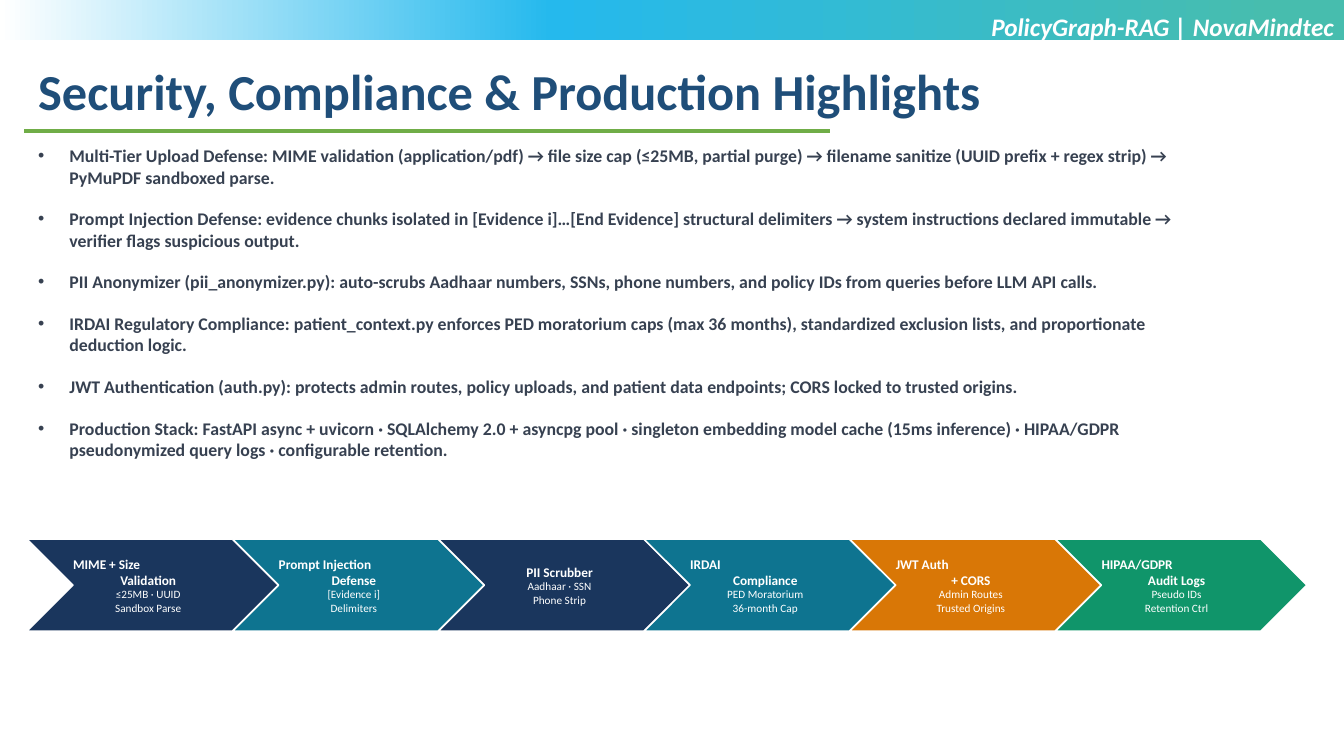
from lxml.etree import SubElement
from pptx import Presentation
from pptx.dml.color import RGBColor
from pptx.enum.shapes import MSO_CONNECTOR as Connector, MSO_SHAPE as Shape
from pptx.enum.text import MSO_ANCHOR as Anchor, PP_ALIGN as Align
from pptx.oxml.ns import qn
from pptx.util import Inches, Pt

COLORS = {
    "white": "FFFFFF",
    "sky": "25B9ED",
    "mint": "47BDAE",
    "title": "1F4E79",
    "rule": "70AD47",
    "body": "374151",
    "navy": "1A365D",
    "teal": "0E7490",
    "orange": "D97706",
    "green": "10956A",
}
BANNER_STOPS = [(0, "white"), (41, "sky"), (95, "mint")]
HIGHLIGHTS = [
    "Multi-Tier Upload Defense: MIME validation (application/pdf) → file size cap (≤25MB, partial purge) "
    "→ filename sanitize (UUID prefix + regex strip) → PyMuPDF sandboxed parse.",
    "Prompt Injection Defense: evidence chunks isolated in [Evidence i]…[End Evidence] structural delimiters "
    "→ system instructions declared immutable → verifier flags suspicious output.",
    "PII Anonymizer (pii_anonymizer.py): auto-scrubs Aadhaar numbers, SSNs, phone numbers, "
    "and policy IDs from queries before LLM API calls.",
    "IRDAI Regulatory Compliance: patient_context.py enforces PED moratorium caps (max 36 months), "
    "standardized exclusion lists, and proportionate deduction logic.",
    "JWT Authentication (auth.py): protects admin routes, policy uploads, and patient data endpoints; "
    "CORS locked to trusted origins.",
    "Production Stack: FastAPI async + uvicorn · SQLAlchemy 2.0 + asyncpg pool · singleton embedding model "
    "cache (15ms inference) · HIPAA/GDPR pseudonymized query logs · configurable retention.",
]
STAGES = [
    ("MIME + Size\nValidation", "≤25MB · UUID\nSandbox Parse", "navy"),
    ("Prompt Injection\nDefense", "[Evidence i]\nDelimiters", "teal"),
    ("PII Scrubber", "Aadhaar · SSN\nPhone Strip", "navy"),
    ("IRDAI\nCompliance", "PED Moratorium\n36-month Cap", "teal"),
    ("JWT Auth\n+ CORS", "Admin Routes\nTrusted Origins", "orange"),
    ("HIPAA/GDPR\nAudit Logs", "Pseudo IDs\nRetention Ctrl", "green"),
]


def rgb(name):
    return RGBColor.from_string(COLORS[name])


def write(paragraph, text, color, **formats):
    run = paragraph.add_run()
    run.text = text
    run.font.color.rgb = rgb(color)
    for key, value in {"name": "Calibri", "bold": True, **formats}.items():
        setattr(run.font, key, value)


def text_frame(slide, box):
    frame = slide.shapes.add_textbox(*map(Inches, box)).text_frame
    frame.word_wrap = True
    return frame


def add_banner(slide, box):
    left, top, width, height = box
    band = slide.shapes.add_shape(Shape.RECTANGLE, *map(Inches, box))
    band.shadow.inherit = False
    band.line.fill.background()
    band.fill.gradient()
    band.fill.gradient_angle = 0
    stops = band._element.spPr.find(qn("a:gradFill")).find(qn("a:gsLst"))
    stops.clear()
    for position, color in BANNER_STOPS:
        stop = SubElement(stops, qn("a:gs"), pos=str(position * 1000))
        SubElement(stop, qn("a:srgbClr"), val=COLORS[color])

    project = text_frame(slide, (left + width / 2, top + 0.06, width / 2, 0.71)).paragraphs[0]
    project.alignment = Align.RIGHT
    write(project, "PolicyGraph-RAG | NovaMindtec", "white", size=Pt(18), italic=True)


def add_heading(slide, box):
    left, top, width, height = box
    heading = text_frame(slide, box).paragraphs[0]
    write(heading, "Security, Compliance & Production Highlights", "title", size=Pt(36))
    rule_left, rule_top = left - 0.04, top + height + 0.04
    rule = slide.shapes.add_connector(
        Connector.STRAIGHT, *map(Inches, (rule_left, rule_top, rule_left + 7.99, rule_top)))
    rule.line.color.rgb = rgb("rule")
    rule.line.width = Pt(2.25)
    SubElement(rule._element.spPr, qn("a:effectLst"))


def add_highlights(slide, box):
    frame = text_frame(slide, box)
    for index, highlight in enumerate(HIGHLIGHTS):
        item = frame.add_paragraph() if index else frame.paragraphs[0]
        properties = item._p.get_or_add_pPr()
        properties.set("marL", str(Inches(0.31)))
        properties.set("indent", str(-Inches(0.31)))
        SubElement(properties, qn("a:buFont"), typeface="Arial")
        SubElement(properties, qn("a:buChar"), char="•")
        item.space_before = Pt(10 if index else 0)
        item.space_after = Pt(4.5)
        write(item, highlight, "body", size=Pt(12.7))


def add_stages(slide, box):
    left, top, width, height = box
    overlap = 0.45
    step = (width - overlap) / len(STAGES)
    for index, (name, detail, color) in enumerate(STAGES):
        stage = slide.shapes.add_shape(
            Shape.CHEVRON, *map(Inches, (left + index * step, top, step + overlap, height)))
        stage.shadow.inherit = False
        stage.fill.solid()
        stage.fill.fore_color.rgb = rgb(color)
        stage.line.color.rgb = rgb("white")
        stage.line.width = Pt(1)
        frame = stage.text_frame
        margins = {"left": 0, "top": 0.05, "right": 0.09, "bottom": 0.05}
        for side, margin in margins.items():
            setattr(frame, f"margin_{side}", Inches(margin))
        frame.word_wrap = True
        frame.vertical_anchor = Anchor.MIDDLE
        label, note = frame.paragraphs[0], frame.add_paragraph()
        label.alignment = note.alignment = Align.CENTER
        write(label, name, "white", size=Pt(9.5))
        write(note, detail, "white", size=Pt(8), bold=False)


def main():
    deck = Presentation()
    deck.slide_width, deck.slide_height = Inches(13.33), Inches(7.5)
    slide = deck.slides.add_slide(deck.slide_layouts[6])
    add_banner(slide, (0, 0, 13.33, 0.4))
    add_highlights(slide, (0.28, 1.39, 11.62, 4.53))
    add_heading(slide, (0.28, 0.55, 11.62, 0.71))
    add_stages(slide, (0.27, 5.35, 12.69, 0.91))
    deck.save("out.pptx")


if __name__ == "__main__":
    main()
